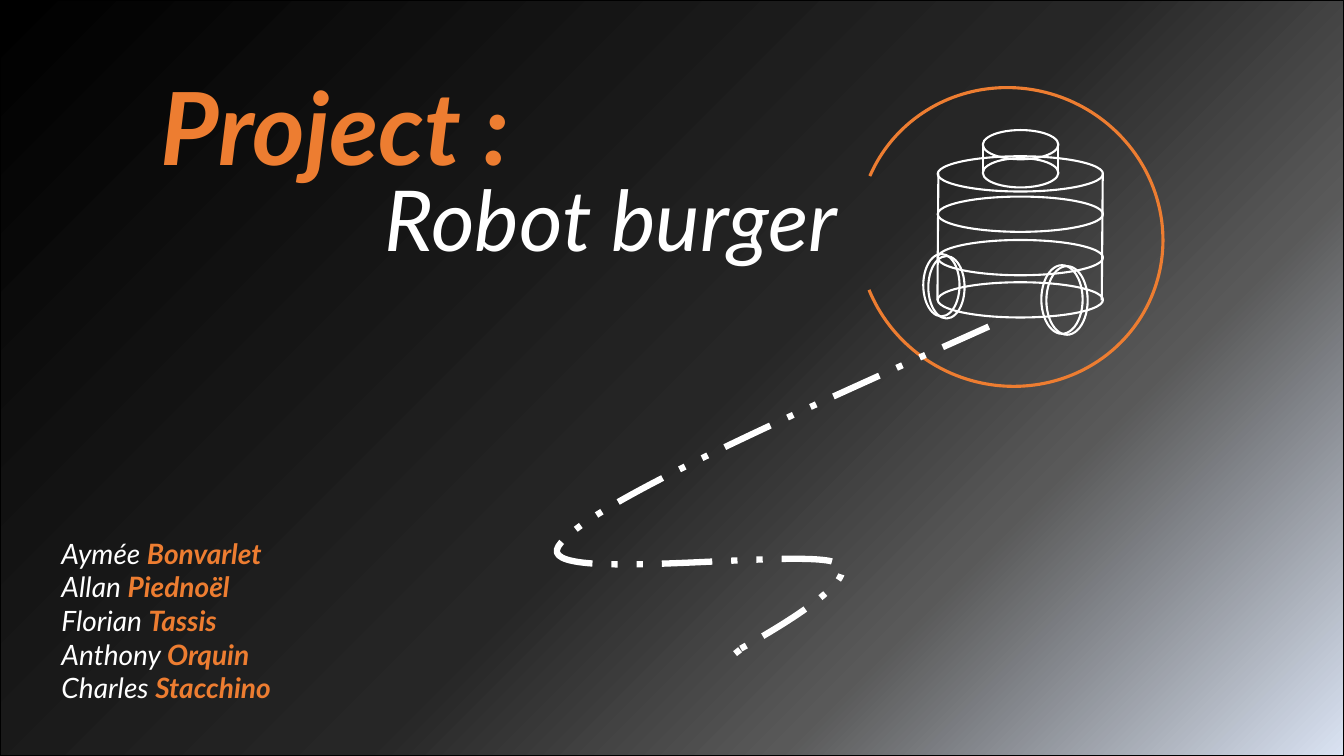
import pptx
import pptx.dml.color
import pptx.enum.dml
import pptx.enum.shapes
import pptx.enum.text
import pptx.oxml.ns
import pptx.util
from lxml import etree

Pt = pptx.util.Pt
qn = pptx.oxml.ns.qn
SHAPE = pptx.enum.shapes.MSO_SHAPE
COLOURS = {"white": "FFFFFF", "orange": "ED7D31", "black": "000000"}
GRADIENT_STOPS = [(0, "DAE3F3"), (27, "595959"), (47, "262626"), (100, "000000")]


def outline(shape, colour, width):
    """Give a shape or connector a plain line, without shadow or fill."""
    shape.line.color.rgb = pptx.dml.color.RGBColor.from_string(COLOURS[colour])
    shape.line.width = Pt(width)
    if hasattr(shape, "fill"):
        shape.fill.background()
        shape.shadow.inherit = False
    else:
        etree.SubElement(shape._element.spPr, qn("a:effectLst"))


def write_lines(box, bounds, size, lines):
    """Place a placeholder and fill it with lines of (text, colour, bold) runs."""
    box.left, box.top, box.width, box.height = map(Pt, bounds)
    frame = box.text_frame
    frame.word_wrap = True
    frame.auto_size = pptx.enum.text.MSO_AUTO_SIZE.SHAPE_TO_FIT_TEXT
    frame.vertical_anchor = pptx.enum.text.MSO_ANCHOR.TOP
    for index, line in enumerate(lines):
        para = frame.add_paragraph() if index else frame.paragraphs[0]
        para.alignment = pptx.enum.text.PP_ALIGN.LEFT
        para.space_before = Pt(0)
        properties = para._p.get_or_add_pPr()
        properties.set("marL", "0")
        properties.set("indent", "0")
        etree.SubElement(properties, qn("a:buNone"))
        for text, colour, bold in line:
            span = para.add_run()
            span.text = text
            span.font.name = "Lato"
            span.font.size = Pt(size)
            span.font.italic = True
            span.font.bold = bold
            span.font.color.rgb = pptx.dml.color.RGBColor.from_string(COLOURS[colour])


deck = pptx.Presentation()
deck.slide_width, deck.slide_height = Pt(960), Pt(540)
page = deck.slides.add_slide(deck.slide_layouts.get_by_name("Two Content"))
title, subtitle, team = page.placeholders

# Backdrop: a radial gradient spreading from the bottom right corner
backdrop = page.shapes.add_shape(SHAPE.RECTANGLE, 0, 0, deck.slide_width, deck.slide_height)
outline(backdrop, "black", 1)
backdrop.fill.gradient()
gradient = backdrop._element.spPr.find(qn("a:gradFill"))
for child in list(gradient):
    gradient.remove(child)
stop_list = etree.SubElement(gradient, qn("a:gsLst"))
for position, colour in GRADIENT_STOPS:
    stop = etree.SubElement(stop_list, qn("a:gs"), pos=str(position * 1000))
    etree.SubElement(stop, qn("a:srgbClr"), val=colour)
spread = etree.SubElement(gradient, qn("a:path"), {"path": "circle"})
etree.SubElement(spread, qn("a:fillToRect"), l="100000", t="100000")
page.shapes._spTree.insert(2, backdrop._element)

# Texts
write_lines(title, (107.3, 42.5, 501, 94.3), 72, [[("Project :", "orange", True)]])
write_lines(subtitle, (267.8, 116, 501, 80), 60, [[("Robot burger", "white", False)]])
members = [("Aymée", "Bonvarlet"), ("Allan", "Piednoël"), ("Florian", "Tassis"),
           ("Anthony", "Orquin"), ("Charles", "Stacchino")]
write_lines(team, (36.7, 379.4, 501, 128), 20,
            [[(first + " ", "white", False), (last, "orange", True)]
             for first, last in members])

# Open ring around the robot
ring = page.shapes.add_shape(SHAPE.ARC, Pt(615.6), Pt(59.8), Pt(212.4), Pt(218.9))
ring.adjustments[0], ring.adjustments[1] = 162, 135.65
ring.rotation = 293.4
outline(ring, "orange", 2.25)

# Wireframe robot: body discs, head discs and wheels, then the upright sides
robot = page.shapes.add_group_shape()
discs = [(669.8, top, 118.1, 25.2) for top in (111.6, 140.4, 171.4, 201.6)]
heads = [(702, top, 54, 20.9) for top in (92.9, 113)]
wheels = [(743.8, 189.4, 29.5, 49), (747.4, 190.1, 29.5, 49),
          (659.5, 181.4, 25.9, 44.6), (663.1, 182.9, 25.9, 44.6)]
for bounds in discs + heads + wheels:
    outline(robot.shapes.add_shape(SHAPE.OVAL, *map(Pt, bounds)), "white", 1.5)
sides = [(787.7, 123.8, 787, 214.6), (670.3, 123.8, 669.6, 214.6),
         (756, 103, 756, 123.1), (702, 104.4, 702, 124.6)]
for ends in sides:
    side = robot.shapes.add_connector(pptx.enum.shapes.MSO_CONNECTOR.STRAIGHT, *map(Pt, ends))
    outline(side, "white", 1.5)

# Dashed trail: a start point, then three points for each Bézier curve
trail_points = [(706.3, 233.3), (561.6, 298.1), (416.9, 362.2), (398.9, 390.2),
                (380.9, 418.3), (576.7, 390.2), (598.3, 402.5),
                (619.9, 414.7), (528.5, 463.7), (528.5, 463.7),
                (517, 473.8), (522.7, 468.7), (529.2, 463.7)]
start, *rest = [(Pt(x), Pt(y)) for x, y in trail_points]
builder = page.shapes.build_freeform(*start)
builder.add_line_segments(rest, close=False)
trail = builder.convert_to_shape()
outline(trail, "white", 4.5)
trail.line.dash_style = pptx.enum.dml.MSO_LINE.DASH_DOT_DOT
segments = trail._element.findall(".//" + qn("a:lnTo"))
for first in range(0, len(segments), 3):
    curve = etree.SubElement(segments[first].getparent(), qn("a:cubicBezTo"))
    for segment in segments[first:first + 3]:
        curve.append(segment[0])
        segment.getparent().remove(segment)

deck.save("out.pptx")
